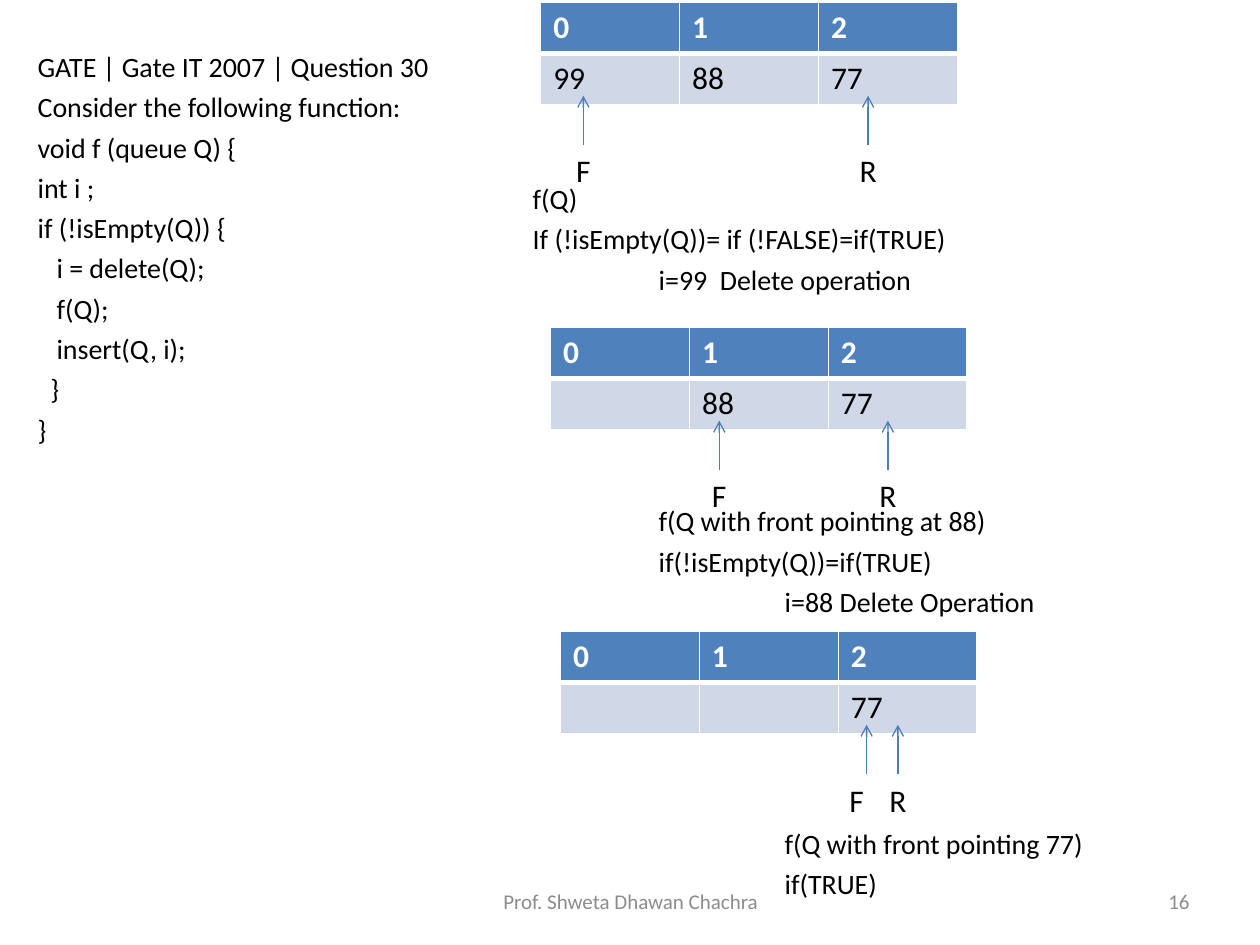
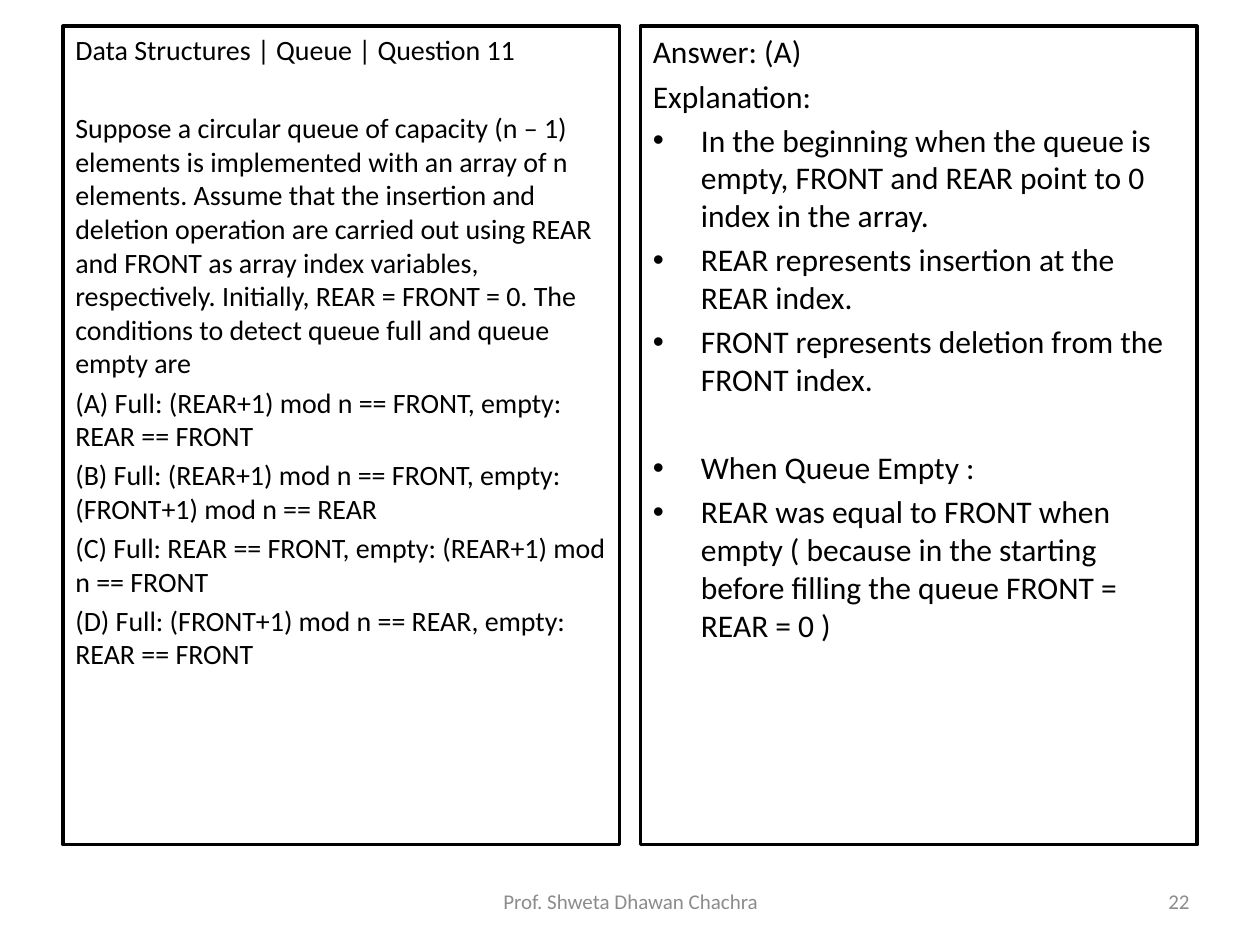
from dataclasses import dataclass

import lxml.etree
import pptx
import pptx.dml.color
import pptx.enum.shapes
import pptx.enum.text
import pptx.oxml.ns
import pptx.util

Cm, Pt = pptx.util.Cm, pptx.util.Pt
ALIGN = pptx.enum.text.PP_ALIGN
ANCHOR = pptx.enum.text.MSO_ANCHOR


@dataclass(frozen=True)
class Theme:
    """Colours, font and type sizes shared by the slides."""
    font: str = "Calibri"
    ink: str = "000000"
    paper: str = "FFFFFF"
    header: str = "4F81BD"
    band: str = "D0D8E8"
    arrow: str = "4B7EBC"
    muted: str = "8C8C8C"
    body: int = 16
    large: int = 18
    small: int = 12


THEME = Theme()
AUTHOR = "Prof. Shweta Dhawan Chachra"
SPACE_WIDTH = 0.127
TAB = 2.54
BULLET_INDENT = 0.97

CODE = [
    (0, "GATE | Gate IT 2007 | Question 30"),
    (0, "Consider the following function:"),
    (0, "void f (queue Q) {"),
    (0, "int i ;"),
    (0, "if (!isEmpty(Q)) {"),
    (3, "i = delete(Q);"),
    (3, "f(Q);"),
    (3, "insert(Q, i);"),
    (2, "}"),
    (0, "}"),
]

# Each queue: left, top, stored values, pointers as (letter, arrow x, label shift).
QUEUES = [
    (10.9, 0.05, ("99", "88", "77"), [("F", 0.86, 0), ("R", 6.6, 0)]),
    (11.1, 6.6, ("", "88", "77"), [("F", 3.4, 0), ("R", 6.8, 0)]),
    (11.3, 12.73, ("", "", "77"), [("F", 6.17, -0.2), ("R", 6.8, 0)]),
]

CALLS = [
    [(0, "f(Q)"), (0, "If (!isEmpty(Q))= if (!FALSE)=if(TRUE)"),
     (1, "i=99  Delete operation")],
    [(1, "f(Q with front pointing at 88)"), (1, "if(!isEmpty(Q))=if(TRUE)"),
     (2, "i=88 Delete Operation")],
    [(2, "f(Q with front pointing 77)"), (2, "if(TRUE)")],
]

QUESTION = [
    "Data Structures | Queue | Question 11",
    "Suppose a circular queue of capacity (n – 1) elements is implemented with an "
    "array of n elements. Assume that the insertion and deletion operation are "
    "carried out using REAR and FRONT as array index variables, respectively. "
    "Initially, REAR = FRONT = 0. The conditions to detect queue full and queue "
    "empty are",
    "(A) Full: (REAR+1) mod n == FRONT, empty: REAR == FRONT",
    "(B) Full: (REAR+1) mod n == FRONT, empty: (FRONT+1) mod n == REAR",
    "(C) Full: REAR == FRONT, empty: (REAR+1) mod n == FRONT",
    "(D) Full: (FRONT+1) mod n == REAR, empty: REAR == FRONT",
]

ANSWER = [
    "Answer: (A)",
    "Explanation:",
    "In the beginning when the queue is empty, FRONT and REAR point to 0 index in "
    "the array.",
    "REAR represents insertion at the REAR index.",
    "FRONT represents deletion from the FRONT index.",
    "When Queue Empty :",
    "REAR was equal to FRONT when empty ( because in the starting  before filling "
    "the queue FRONT = REAR = 0 )",
]


def rgb(colour):
    """Turn a hex string into a colour."""
    return pptx.dml.color.RGBColor.from_string(colour)


def add_element(parent, tag, **attributes):
    """Append a drawing element to its parent."""
    return lxml.etree.SubElement(parent, pptx.oxml.ns.qn(tag), attributes)


def write(paragraph, text, size=THEME.body, colour=THEME.ink, bold=False):
    """Add one styled run to a paragraph."""
    run = paragraph.add_run()
    run.text = text
    run.font.name, run.font.size, run.font.bold = THEME.font, Pt(size), bold
    run.font.color.rgb = rgb(colour)


def paragraphs(frame, count):
    """Yield the wanted number of paragraphs of a text frame."""
    yield frame.paragraphs[0]
    for _ in range(count - 1):
        yield frame.add_paragraph()


def add_line(slide, box, text, size, colour=THEME.ink, align=ALIGN.CENTER,
             anchor=ANCHOR.TOP):
    """Place a single line of text in a box."""
    frame = slide.shapes.add_textbox(*map(Cm, box)).text_frame
    frame.word_wrap = True
    frame.margin_left = frame.margin_right = Cm(0.2)
    frame.vertical_anchor = anchor
    frame.paragraphs[0].alignment = align
    write(frame.paragraphs[0], text, size, colour)


def add_footer(slide, number):
    """Place the author and the slide number."""
    for left, width, text, align in ((8.69, 8.05, AUTHOR, ALIGN.CENTER),
                                     (18.25, 5.93, str(number), ALIGN.RIGHT)):
        add_line(slide, (left, 17.65, width, 1.02), text, THEME.small,
                 THEME.muted, align, ANCHOR.MIDDLE)


def add_listing(slide, box, lines, indent):
    """Write lines, each indented by its depth."""
    frame = slide.shapes.add_textbox(*map(Cm, box)).text_frame
    frame.word_wrap = True
    for paragraph, (depth, text) in zip(paragraphs(frame, len(lines)), lines):
        paragraph.line_spacing = 1.2
        paragraph._p.get_or_add_pPr().set("marL", str(Cm(depth * indent)))
        write(paragraph, text)


def style_cell(cell, text, is_header):
    """Fill, border and write one queue cell."""
    properties = cell._tc.get_or_add_tcPr()
    for side in "LRTB":
        heavy = (is_header and side == "B") or (not is_header and side == "T")
        border = add_element(properties, f"a:ln{side}", w=str(Pt(3 if heavy else 1)))
        add_element(add_element(border, "a:solidFill"), "a:srgbClr", val=THEME.paper)
    cell.fill.solid()
    cell.fill.fore_color.rgb = rgb(THEME.header if is_header else THEME.band)
    if text:
        write(cell.text_frame.paragraphs[0], text, THEME.large,
              THEME.paper if is_header else THEME.ink, is_header)


def add_pointer(slide, x, top, letter, shift):
    """Draw an upward arrow with its letter below."""
    arrow = slide.shapes.add_connector(pptx.enum.shapes.MSO_CONNECTOR.STRAIGHT,
                                       Cm(x), Cm(top + 1), Cm(x), Cm(top))
    arrow.line.color.rgb = rgb(THEME.arrow)
    arrow.line.width = Pt(0.75)
    add_element(arrow.line._get_or_add_ln(), "a:tailEnd", type="arrow")
    add_element(arrow._element.spPr, "a:effectLst")
    add_line(slide, (x + shift - 0.42, top + 1, 0.84, 1.02), letter, THEME.large)


def add_queue(slide, left, top, values, pointers):
    """Draw a queue as an indexed table with its front and rear."""
    rows = [[str(index) for index in range(len(values))], values]
    column_width, row_height = 2.8, 1.03
    table = slide.shapes.add_table(
        len(rows), len(values), Cm(left), Cm(top),
        Cm(column_width * len(values)), Cm(row_height * len(rows))).table
    table.horz_banding = False
    for row, texts in enumerate(rows):
        for column, text in enumerate(texts):
            style_cell(table.cell(row, column), text, row == 0)
    for letter, x, shift in pointers:
        add_pointer(slide, left + x, top + 1.88, letter, shift)


def add_panel(slide, box, texts, size, gap_before, first_bullet=None):
    """Draw a framed panel, with a wide gap before one paragraph."""
    panel = slide.shapes.add_shape(pptx.enum.shapes.MSO_SHAPE.RECTANGLE, *map(Cm, box))
    panel.shadow.inherit = False
    panel.fill.solid()
    panel.fill.fore_color.rgb = rgb(THEME.paper)
    panel.line.color.rgb = rgb(THEME.ink)
    panel.line.width = Pt(2)
    frame = panel.text_frame
    frame.word_wrap = True
    frame.vertical_anchor = ANCHOR.TOP
    for index, paragraph in enumerate(paragraphs(frame, len(texts))):
        paragraph.alignment = ALIGN.LEFT
        gap = 1.6 if index == gap_before else 0.2
        paragraph.space_before = Pt(size * gap if index else 0)
        if first_bullet is not None and index >= first_bullet:
            properties = paragraph._p.get_or_add_pPr()
            properties.set("marL", str(Cm(BULLET_INDENT)))
            properties.set("indent", str(-Cm(BULLET_INDENT)))
            add_element(properties, "a:buFont", typeface="Arial")
            add_element(properties, "a:buChar", char="•")
        write(paragraph, texts[index], size)


def build_trace(slide):
    """Trace the recursive calls beside the code."""
    add_listing(slide, (0.51, 0.74, 12, 16.28), CODE, SPACE_WIDTH)
    for step, (queue, call) in enumerate(zip(QUEUES, CALLS)):
        add_queue(slide, *queue)
        add_listing(slide, (10.49, 3.4 + 6.5 * step, 12, 0.82 * len(call) + 0.25),
                    call, TAB)
    add_footer(slide, 16)


def build_question(slide):
    """Set the question beside its answer."""
    top, width, height = 0.53, 11.22, 16.5
    add_panel(slide, (1.27, top, width, height), QUESTION, THEME.body, 1)
    add_panel(slide, (12.91, top, width, height), ANSWER, THEME.large, 5, 2)
    add_footer(slide, 22)


def main():
    """Build and save the deck."""
    deck = pptx.Presentation()
    deck.slide_width, deck.slide_height = Cm(25.4), Cm(19.05)
    for build in (build_trace, build_question):
        build(deck.slides.add_slide(deck.slide_layouts[6]))
    deck.save("out.pptx")


if __name__ == "__main__":
    main()
